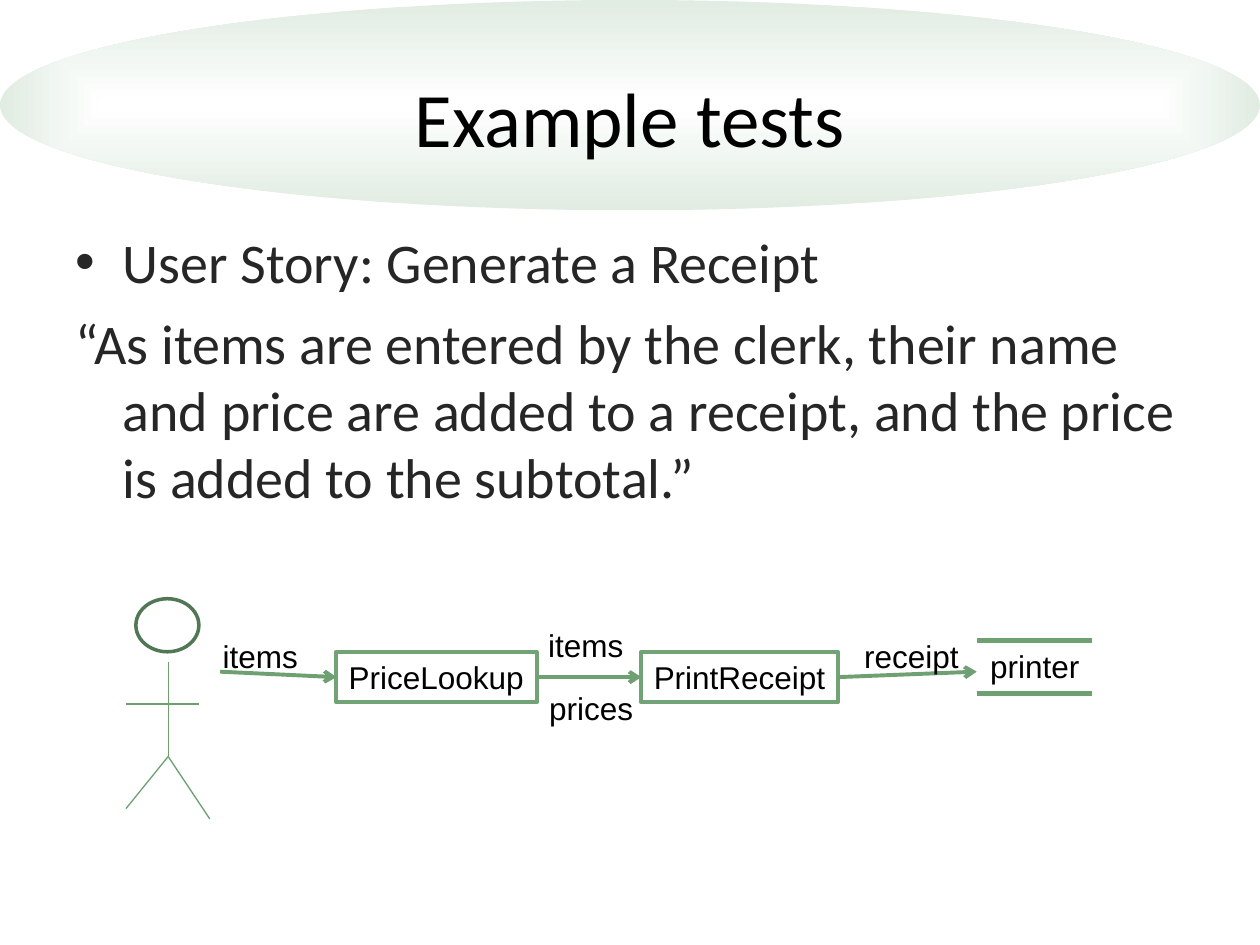
from pptx import Presentation
from pptx.dml.color import RGBColor
from pptx.enum.shapes import MSO_CONNECTOR as CONN, MSO_SHAPE as SHAPE
from pptx.enum.text import MSO_ANCHOR as ANCHOR, MSO_AUTO_SIZE as AUTO, PP_ALIGN as ALIGN
from pptx.oxml import parse_xml
from pptx.oxml.ns import nsdecls
from pptx.util import Cm, Pt

BLACK = RGBColor(0x00, 0x00, 0x00)
INK = RGBColor(0x26, 0x26, 0x26)
BOX_GREEN = RGBColor(0x72, 0xA3, 0x76)
LINE_GREEN = RGBColor(0x6E, 0xA0, 0x72)
HEAD_GREEN = RGBColor(0x52, 0x77, 0x55)
PALE_GREEN = RGBColor(0xE1, 0xEC, 0xE2)
WHITE = RGBColor(0xFF, 0xFF, 0xFF)
LEFT, RIGHT = 1, 3  # connection sites of a rectangle


def write(p, text, *, size=18, font="Arial", color=BLACK, align=ALIGN.LEFT, before=0):
    p.alignment = align
    p.space_before = Pt(before)
    r = p.add_run()
    r.text = text
    r.font.size = Pt(size)
    r.font.name = font
    r.font.color.rgb = color


def write_unwrapped(sp, text):
    tf = sp.text_frame
    tf.word_wrap = False
    tf.auto_size = AUTO.SHAPE_TO_FIT_TEXT
    tf.vertical_anchor = ANCHOR.TOP
    write(tf.paragraphs[0], text)


def place(sp, x, y, w, h):
    sp.left, sp.top, sp.width, sp.height = Cm(x), Cm(y), Cm(w), Cm(h)


def add_line(slide, x1, y1, x2, y2, width=0.75, arrow=False):
    c = slide.shapes.add_connector(CONN.STRAIGHT, Cm(x1), Cm(y1), Cm(x2), Cm(y2))
    c.line.color.rgb = LINE_GREEN
    c.line.width = Pt(width)
    if arrow:
        c.line._get_or_add_ln().append(
            parse_xml(f'<a:tailEnd {nsdecls("a")} type="arrow"/>'))
    c._element.spPr.append(parse_xml(f'<a:effectLst {nsdecls("a")}/>'))
    return c


def add_outline(slide, shape, x, y, w, h, color, width):
    sp = slide.shapes.add_shape(shape, Cm(x), Cm(y), Cm(w), Cm(h))
    sp.shadow.inherit = False
    sp.fill.background()
    sp.line.color.rgb = color
    sp.line.width = Pt(width)
    return sp


def add_process(slide, text, x, y, w, h):
    sp = add_outline(slide, SHAPE.RECTANGLE, x, y, w, h, BOX_GREEN, 2.25)
    write_unwrapped(sp, text)
    return sp


def add_label(slide, text, x, y, w):
    write_unwrapped(slide.shapes.add_textbox(Cm(x), Cm(y), Cm(w), Cm(1.02)), text)


def add_header(slide, x, y, w, h):
    """Title over an ellipse that fades to white along its middle."""
    sp = slide.shapes.add_shape(SHAPE.OVAL, Cm(x), Cm(y), Cm(w), Cm(h))
    sp.shadow.inherit = False
    sp.line.fill.background()
    sp.fill.background()
    spPr = sp._element.spPr
    stops = "".join(f'<a:gs pos="{pos}"><a:srgbClr val="{color}"/></a:gs>'
                    for pos, color in ((0, WHITE), (100000, PALE_GREEN)))
    spPr.replace(spPr.find("{*}noFill"), parse_xml(
        f'<a:gradFill {nsdecls("a")} rotWithShape="1"><a:gsLst>{stops}</a:gsLst>'
        '<a:path path="rect"><a:fillToRect l="50000" t="50000" r="50000" b="50000"/>'
        '</a:path></a:gradFill>'))
    slide.shapes._spTree.insert(2, sp._element)  # behind the title

    title = slide.shapes.title
    place(title, x + 1.27, y + 0.76, w - 2.54, 3.18)
    title.text_frame.vertical_anchor = ANCHOR.MIDDLE
    write(title.text_frame.paragraphs[0], "Example tests", size=44, font="Calibri",
          align=ALIGN.CENTER)


def add_story(slide, x, y, w, h):
    body = slide.placeholders[1]
    place(body, x, y, w, h)
    tf = body.text_frame
    tf.auto_size = AUTO.NONE
    lines = (
        ("User Story: Generate a Receipt", '<a:buChar {} char="•"/>'),
        ("“As items are entered by the clerk, their name and price are added "
         "to a receipt, and the price is added to the subtotal.”", '<a:buNone {}/>'),
    )
    for i, (text, bullet) in enumerate(lines):
        p = tf.add_paragraph() if i else tf.paragraphs[0]
        write(p, text, size=32, font="Calibri", color=INK, before=8)
        pPr = p._p.get_or_add_pPr()
        pPr.set("marL", str(Cm(0.95)))
        pPr.set("indent", str(-Cm(0.95)))
        pPr.append(parse_xml(bullet.format(nsdecls("a"))))


def add_clerk(slide, x, y):
    """Stick figure."""
    add_outline(slide, SHAPE.OVAL, x + 0.2, y, 1.27, 1.07, HEAD_GREEN, 2)
    limbs = ((0.85, 1.27, 0.85, 3.18), (0, 4.23, 0.85, 3.18),
             (1.69, 4.44, 0.85, 3.18), (0, 2.12, 1.48, 2.12))
    for x1, y1, x2, y2 in limbs:
        add_line(slide, x + x1, y + y1, x + x2, y + y2)


def add_flow(slide, x, y):
    """Data flow from the clerk through both processes to the printer."""
    lookup = add_process(slide, "PriceLookup", x + 4.24, y + 1.07, 4.04, 1.02)
    receipt = add_process(slide, "PrintReceipt", x + 10.39, y + 1.07, 3.96, 1.02)

    mid, end = y + 1.58, y + 1.47
    arrow = add_line(slide, x + 8.28, mid, x + 10.39, mid, 2.25, True)
    arrow.begin_connect(lookup, RIGHT)
    arrow.end_connect(receipt, LEFT)
    add_line(slide, x + 14.35, mid, x + 17.15, end, 2.25, True).begin_connect(receipt, RIGHT)
    add_line(slide, x + 1.9, end, x + 4.24, mid, 2.25, True).end_connect(lookup, LEFT)

    for text, dx, dy, w in (("items", 1.7, 0.64, 2.03), ("items", 8.26, 0.43, 2.03),
                            ("prices", 8.28, 1.7, 2.2), ("receipt", 14.63, 0.64, 2.42),
                            ("printer", 17.17, 0.84, 2.32)):
        add_label(slide, text, x + dx, y + dy, w)
    for dy in (0.84, 1.91):
        add_line(slide, x + 17.15, y + dy, x + 19.48, y + dy, 3)


def main():
    prs = Presentation()
    prs.slide_width, prs.slide_height = Cm(25.4), Cm(19.05)
    slide = prs.slides.add_slide(prs.slide_layouts[1])
    add_header(slide, 0, 0, 25.4, 4.24)
    add_story(slide, 1.27, 4.45, 22.86, 13.97)
    add_flow(slide, 2.54, 12.07)
    add_clerk(slide, 2.54, 12.07)
    prs.save("out.pptx")


if __name__ == "__main__":
    main()
